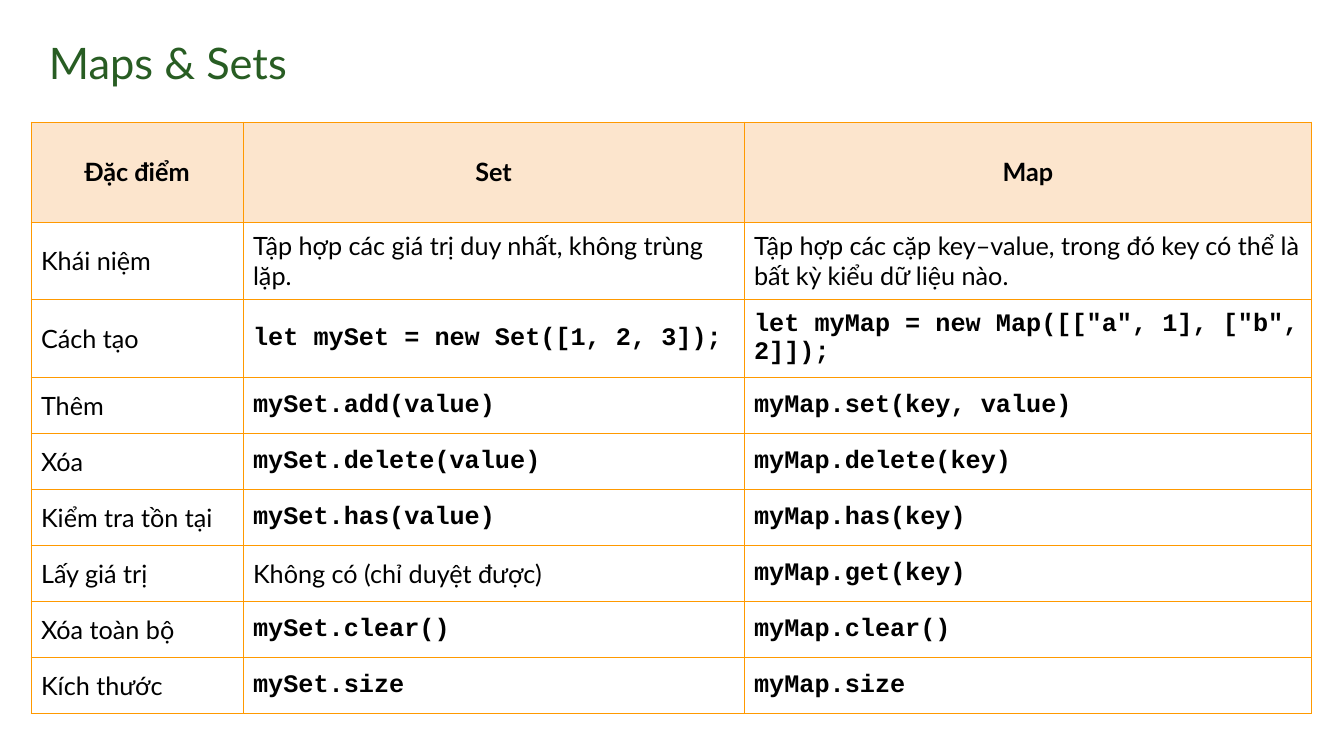
from lxml.etree import SubElement
from pptx import Presentation
from pptx.dml.color import RGBColor
from pptx.enum.text import MSO_ANCHOR as Anchor, PP_ALIGN as Align
from pptx.oxml.ns import qn
from pptx.util import Pt

SCALE = 914400 / 100.8
COLORS = {"title": "285D23", "text": "000000", "border": "FF9900",
          "header": "FCE5CD", "body": "FFFFFF"}
COLUMN_WIDTHS = [212, 501, 568]
ROW_HEIGHTS = [100, 78, 78] + [56] * 6
ROWS = [
    ("Đặc điểm", "Set", "Map"),
    ("Khái niệm", "Tập hợp các giá trị duy nhất, không trùng lặp.",
     "Tập hợp các cặp key–value, trong đó key có thể là bất kỳ kiểu dữ liệu nào."),
    ("Cách tạo", "let mySet = new Set([1, 2, 3]);",
     'let myMap = new Map([["a", 1], ["b", 2]]);'),
    ("Thêm", "mySet.add(value)", "myMap.set(key, value)"),
    ("Xóa", "mySet.delete(value)", "myMap.delete(key)"),
    ("Kiểm tra tồn tại", "mySet.has(value)", "myMap.has(key)"),
    ("Lấy giá trị", "Không có (chỉ duyệt được)", "myMap.get(key)"),
    ("Xóa toàn bộ", "mySet.clear()", "myMap.clear()"),
    ("Kích thước", "mySet.size", "myMap.size"),
]


def px(length):
    return round(length * SCALE)


def style_text(paragraph, size, color, name="Lato", bold=False):
    font = paragraph.runs[0].font
    font.size, font.name, font.bold = Pt(size), name, bold
    font.color.rgb = RGBColor.from_string(COLORS[color])


presentation = Presentation()
presentation.slide_width, presentation.slide_height = px(1344), px(756)
slide = presentation.slides.add_slide(presentation.slide_layouts[6])

# Title
title = slide.shapes.add_textbox(px(44), px(28), px(1210), px(68))
text_frame = title.text_frame
text_frame.word_wrap = True
text_frame.vertical_anchor = Anchor.MIDDLE
text_frame.margin_left = text_frame.margin_right = px(5)
text_frame.margin_top = text_frame.margin_bottom = px(5)
text_frame.text = "Maps & Sets"
style_text(text_frame.paragraphs[0], 31, "title")

# Comparison table
table = slide.shapes.add_table(
    len(ROWS), len(COLUMN_WIDTHS), px(31), px(122),
    px(sum(COLUMN_WIDTHS)), px(sum(ROW_HEIGHTS))).table
table.horz_banding = False
for column, width in zip(table.columns, COLUMN_WIDTHS):
    column.width = px(width)
for row, height in zip(table.rows, ROW_HEIGHTS):
    row.height = px(height)

for row_index, row_texts in enumerate(ROWS):
    is_header = row_index == 0
    for column_index, text in enumerate(row_texts):
        cell = table.cell(row_index, column_index)
        cell.vertical_anchor = Anchor.MIDDLE

        # Borders come before the fill in the cell properties
        properties = cell._tc.get_or_add_tcPr()
        for side in ("a:lnL", "a:lnR", "a:lnT", "a:lnB"):
            line = SubElement(properties, qn(side), w=str(Pt(0.75)))
            fill = SubElement(line, qn("a:solidFill"))
            SubElement(fill, qn("a:srgbClr"), val=COLORS["border"])
        cell.fill.solid()
        cell.fill.fore_color.rgb = RGBColor.from_string(
            COLORS["header" if is_header else "body"])

        # Code is set in bold monospace
        is_code = text.startswith(("let ", "mySet", "myMap"))
        cell.text_frame.text = text
        paragraph = cell.text_frame.paragraphs[0]
        paragraph.alignment = Align.CENTER if is_header else Align.LEFT
        style_text(paragraph, 18, "text", "Courier New" if is_code else "Lato",
                   is_header or is_code)

presentation.save("out.pptx")
